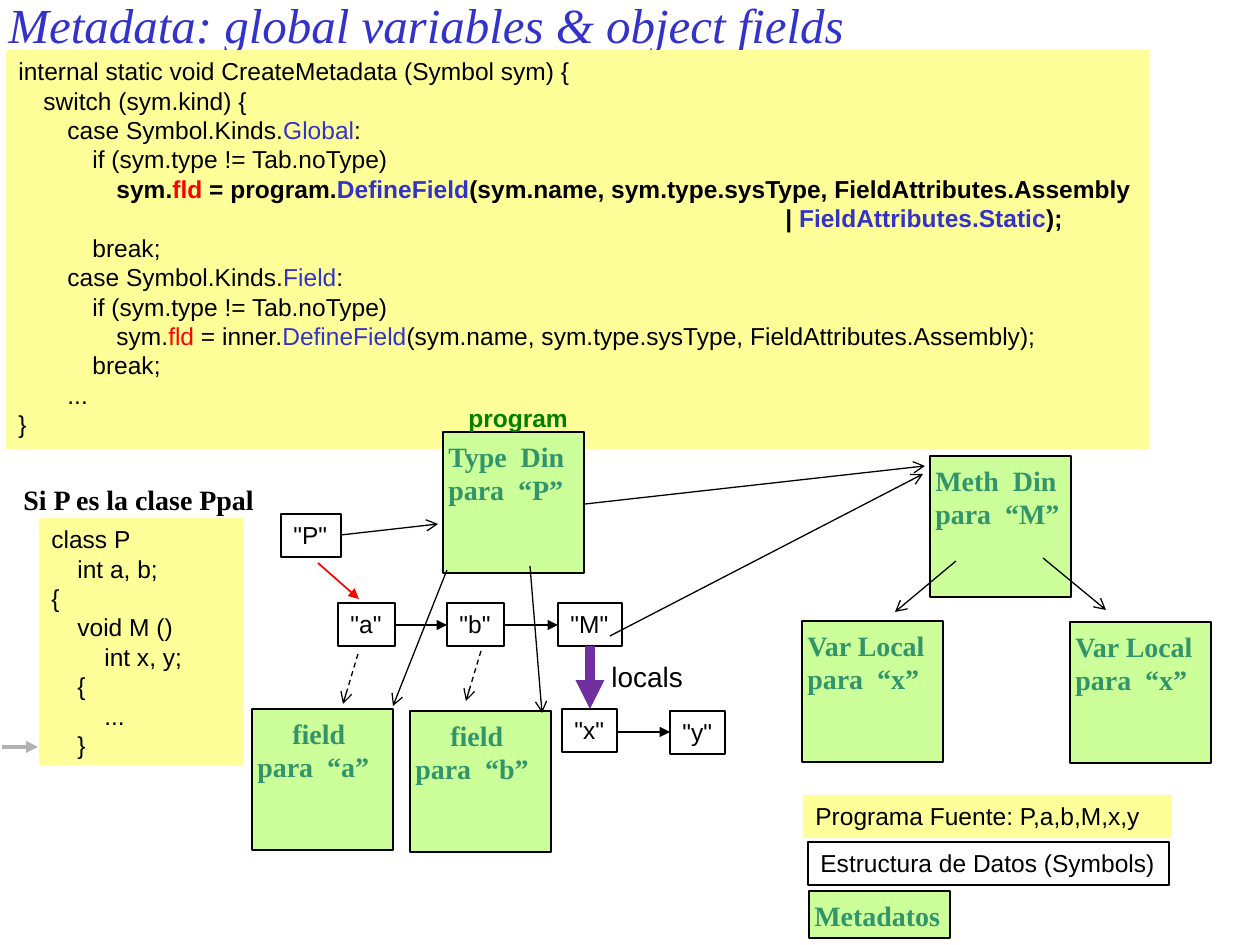
from pptx import Presentation
from pptx.dml.color import RGBColor
from pptx.enum.dml import MSO_LINE
from pptx.enum.shapes import MSO_CONNECTOR, MSO_SHAPE
from pptx.enum.text import MSO_ANCHOR, MSO_AUTO_SIZE, PP_ALIGN
from pptx.oxml.ns import qn
from pptx.util import Pt
from lxml import etree

PX = 914400 / 126
COLORS = {
    "black": "000000", "blue": "3333CC", "red": "FF0000", "green": "008000",
    "teal": "32946A", "purple": "7030A0", "gray": "B2B2B2",
    "yellow": "FFFF99", "lime": "CCFF99",
}
FORMATS = {
    "title": {"name": "Times New Roman", "size": Pt(28), "italic": True},
    "code": {"name": "Arial", "size": Pt(14)},
    "label": {"name": "Arial", "size": Pt(14), "bold": True},
    "note": {"name": "Arial", "size": Pt(16)},
    "heading": {"name": "Times New Roman", "size": Pt(16), "bold": True},
}
FRAME = {"vertical_anchor": MSO_ANCHOR.TOP, "auto_size": MSO_AUTO_SIZE.SHAPE_TO_FIT_TEXT}

prs = Presentation()
prs.slide_width, prs.slide_height = round(1260 * PX), round(945 * PX)
s = prs.slides.add_slide(prs.slide_layouts[6])


def rgb(name):
    return RGBColor.from_string(COLORS[name])


def add_box(x, y, w, h, lines=(), fmt="code", color="black", fill=None, line=None,
            wrap=False, tabs=()):
    """Each line is a list of runs: a plain string, or (text, color)."""
    at = [round(v * PX) for v in (x, y, w, h)]
    if fill or line:
        sp = s.shapes.add_shape(MSO_SHAPE.RECTANGLE, *at)
        sp.shadow.inherit = False
        for part, name in ((sp.fill, fill), (sp.line.fill, line)):
            if name:
                part.solid()
                part.fore_color.rgb = rgb(name)
            else:
                part.background()
        if line:
            sp.line.width = Pt(0.75)
    else:
        sp = s.shapes.add_textbox(*at)
    tf = sp.text_frame
    if not lines:
        return tf
    for key, value in {**FRAME, "word_wrap": wrap}.items():
        setattr(tf, key, value)
    for i, runs in enumerate(lines):
        p = tf.add_paragraph() if i else tf.paragraphs[0]
        p.alignment = PP_ALIGN.LEFT
        if tabs:
            tab_list = etree.SubElement(p._p.get_or_add_pPr(), qn("a:tabLst"))
            for pos in tabs:
                etree.SubElement(tab_list, qn("a:tab"), pos=str(round(pos * PX)), algn="l")
        for run in runs:
            text, name = (run, color) if isinstance(run, str) else run
            r = p.add_run()
            r.text = text
            r.font.color.rgb = rgb(name)
            for key, value in FORMATS[fmt].items():
                setattr(r.font, key, value)
    return tf


# Title
tf = add_box(-4, -24, 945, 95, [["Metadata: global variables & object fields"]],
             "title", "blue", wrap=True)
tf.auto_size = MSO_AUTO_SIZE.NONE
tf.vertical_anchor = MSO_ANCHOR.MIDDLE

# Metadata code, with the global field definition in bold
tf = add_box(6, 50, 1143, 399, [
    ["internal static void CreateMetadata (Symbol sym) {"],
    ["\tswitch (sym.kind) {"],
    ["\t\tcase Symbol.Kinds.", ("Global", "blue"), ":"],
    ["\t\t\tif (sym.type != Tab.noType)"],
    ["\t\t\t\tsym.", ("fld", "red"), " = program.", ("DefineField", "blue"),
     "(sym.name, sym.type.sysType, FieldAttributes.Assembly"],
    ["\t\t\t\t\t| ", ("FieldAttributes.Static", "blue"), ");"],
    ["\t\t\tbreak;"],
    ["\t\tcase Symbol.Kinds.", ("Field", "blue"), ":"],
    ["\t\t\tif (sym.type != Tab.noType)"],
    ["\t\t\t\tsym.", ("fld", "red"), " = inner.", ("DefineField", "blue"),
     "(sym.name, sym.type.sysType, FieldAttributes.Assembly);"],
    ["\t\t\tbreak;"],
    ["\t\t..."],
    ["}"],
], fill="yellow", tabs=(25, 49, 74, 98, 767))
for p in tf.paragraphs[4:6]:
    for r in p.runs:
        r.font.bold = True

# Source program
add_box(11, 476, 260, 47, [["Si P es la clase Ppal"]], "heading")
source = ["class P", "\tint a, b;", "{", "\tvoid M ()", "\t\tint x, y;", "\t{", "\t\t...", "\t}"]
add_box(39, 518, 204, 247, [[text] for text in source], fill="yellow", wrap=True,
        tabs=(26, 53, 78))

# Symbol boxes
for name, x, y, w in [("P", 281, 514, 60), ("a", 338, 603, 57), ("b", 447, 603, 57),
                      ("M", 558, 603, 64), ("x", 562, 709, 55), ("y", 670, 711, 55)]:
    add_box(x, y, w, 43, [[f'"{name}"']], line="black")
add_box(599, 653, 97, 47, [["locals"]], "note")

# Metadata squares, each with its caption
for first, name, x, y, w in [("Type  Din", "P", 443, 432, 142), ("Meth  Din", "M", 930, 456, 151),
                             ("Var Local", "x", 802, 621, 144), ("Var Local", "x", 1070, 622, 144),
                             ("field", "a", 252, 709, 139), ("field", "b", 410, 711, 140)]:
    add_box(x, y, 141, 141, fill="lime", line="black")
    tf = add_box(x - 7, y + 1, w, 81, [[first], [f"para  “{name}”"]], "heading", "teal")
    if first == "field":
        tf.paragraphs[0]._p.get_or_add_pPr().set("marL", str(round(35 * PX)))
add_box(456, 397, 126, 43, [["program"]], "label", "green")

# Legend
add_box(803, 795, 369, 43, [["Programa Fuente: P,a,b,M,x,y"]], fill="yellow", wrap=True)
add_box(808, 842, 361, 43, [["Estructura de Datos (Symbols)"]], line="black")
add_box(809, 891, 141, 47, fill="lime", line="black")
add_box(802, 892, 174, 47, [["Metadatos"]], "heading", "teal", wrap=True)

# Arrows: from, to, color, width, head, dashed
for x1, y1, x2, y2, color, width, head, dashed in [
    (617, 732, 670, 732, "black", 0.75, "triangle", False),
    (395, 625, 447, 625, "black", 0.75, "triangle", False),
    (505, 625, 558, 625, "black", 0.75, "triangle", False),
    (590, 646, 590, 709, "purple", 5.5, "triangle", False),
    (2, 747, 38, 747, "gray", 2.25, "triangle", False),
    (318, 563, 359, 599, "red", 1, "triangle", False),
    (341, 535, 438, 524, "black", 0.75, "arrow", False),
    (610, 636, 923, 474, "black", 0.75, "arrow", False),
    (585, 504, 925, 466, "black", 0.75, "arrow", False),
    (956, 561, 895, 612, "black", 0.75, "arrow", False),
    (1043, 558, 1106, 610, "black", 0.75, "arrow", False),
    (447, 570, 393, 706, "black", 0.75, "arrow", False),
    (530, 566, 542, 713, "black", 0.75, "arrow", False),
    (358, 654, 343, 704, "black", 0.75, "arrow", True),
    (481, 651, 466, 701, "black", 0.75, "arrow", True),
]:
    c = s.shapes.add_connector(MSO_CONNECTOR.STRAIGHT, *[round(v * PX) for v in (x1, y1, x2, y2)])
    c.line.color.rgb = rgb(color)
    c.line.width = Pt(width)
    if dashed:
        c.line.dash_style = MSO_LINE.DASH
    etree.SubElement(c.line._get_or_add_ln(), qn("a:tailEnd"), type=head)
    etree.SubElement(c._element.spPr, qn("a:effectLst"))

prs.save("out.pptx")
